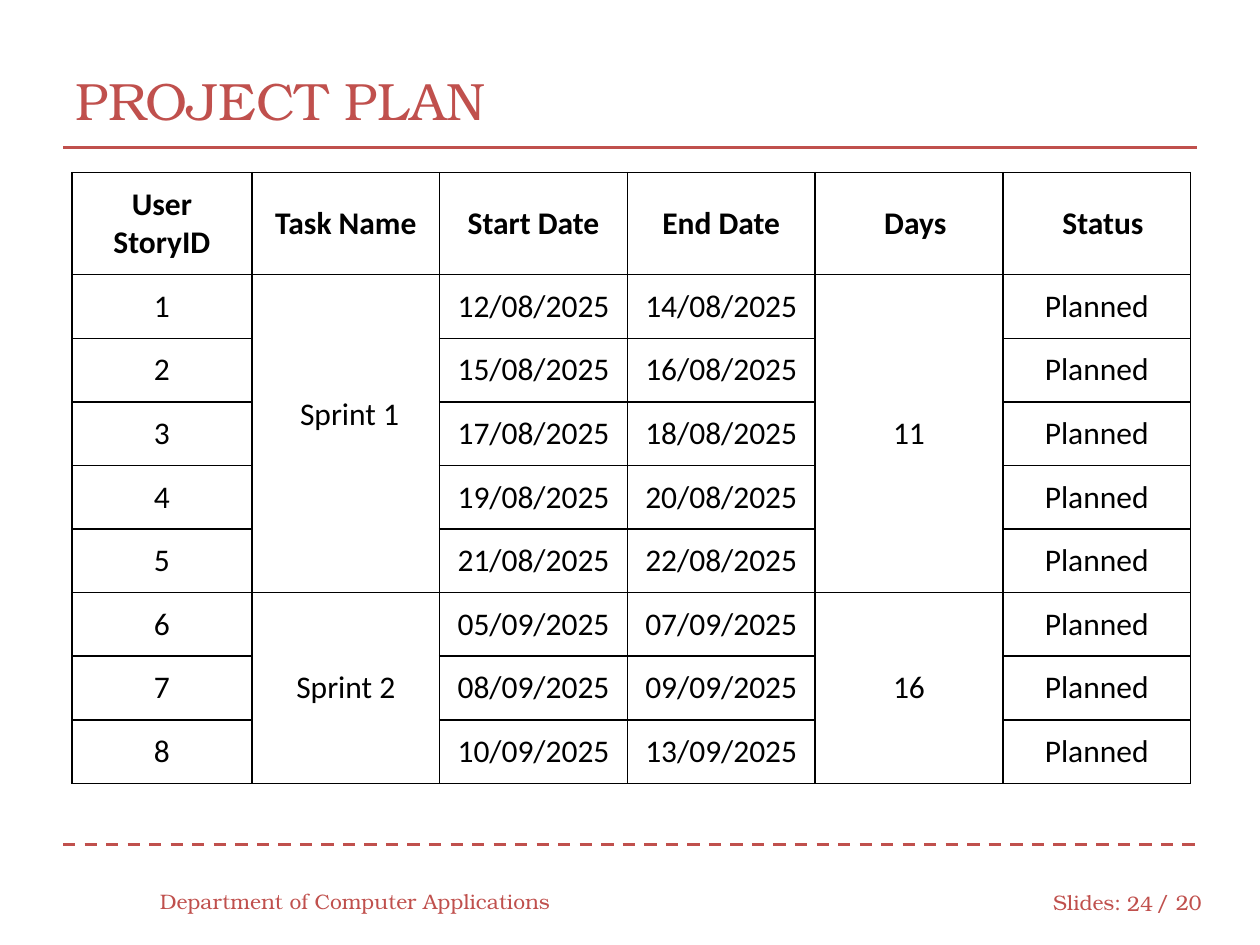
from dataclasses import dataclass

from lxml.etree import SubElement
from pptx import Presentation
from pptx.dml.color import RGBColor
from pptx.enum.dml import MSO_LINE
from pptx.enum.shapes import MSO_CONNECTOR
from pptx.enum.text import MSO_ANCHOR, MSO_AUTO_SIZE, PP_ALIGN as Align
from pptx.oxml import parse_xml
from pptx.oxml.ns import nsdecls, qn
from pptx.util import Inches, Pt


@dataclass(frozen=True)
class Theme:
    """Colours, fonts and type sizes of the slide."""
    accent: str = "C0504D"
    ink: str = "000000"
    paper: str = "FFFFFF"
    display_font: str = "TeX Gyre Bonum"
    table_font: str = "Calibri"
    title_size: int = 30
    table_size: int = 18
    footer_size: int = 12
    rule_width: float = 1.75
    border_width: float = 1


THEME = Theme()

HEADINGS = ["User\nStoryID", "Task Name", "Start Date", "End Date", "Days", "Status"]
SPRINTS = [
    ("Sprint 1", "11", [
        ("12/08/2025", "14/08/2025"),
        ("15/08/2025", "16/08/2025"),
        ("17/08/2025", "18/08/2025"),
        ("19/08/2025", "20/08/2025"),
        ("21/08/2025", "22/08/2025"),
    ]),
    ("Sprint 2", "16", [
        ("05/09/2025", "07/09/2025"),
        ("08/09/2025", "09/09/2025"),
        ("10/09/2025", "13/09/2025"),
    ]),
]
COLUMN_WIDTHS = [1.43] + [1.49] * 5
HEADER_HEIGHT, ROW_HEIGHT = 0.81, 0.505


def write_text(frame, text, *, size, font, color, bold=False, align=Align.LEFT):
    """Fill a text frame with one formatted paragraph per line of text."""
    frame.word_wrap = True
    for index, line in enumerate(text.split("\n")):
        para = frame.add_paragraph() if index else frame.paragraphs[0]
        para.alignment = align
        span = para.add_run()
        span.text = line
        span.font.size = Pt(size)
        span.font.name = font
        span.font.bold = bold
        span.font.color.rgb = RGBColor.from_string(color)


def add_title(page, text):
    """Place and format the title placeholder."""
    title = page.shapes.title
    title.left, title.top = Inches(0.5), Inches(0.33)
    title.width, title.height = Inches(9), Inches(0.92)
    title.text_frame.auto_size = MSO_AUTO_SIZE.NONE
    title.text_frame.vertical_anchor = MSO_ANCHOR.MIDDLE
    write_text(title.text_frame, text, size=THEME.title_size,
               font=THEME.display_font, color=THEME.accent)


def add_footer_text(page, text, left, top, width, align=Align.LEFT):
    """Add a small text box in the footer band."""
    box = page.shapes.add_textbox(Inches(left), Inches(top), Inches(width), Inches(0.4))
    box.text_frame.vertical_anchor = MSO_ANCHOR.MIDDLE
    write_text(box.text_frame, text, size=THEME.footer_size,
               font=THEME.display_font, color=THEME.accent, align=align)


def add_rule(page, top, dash=None):
    """Draw a horizontal rule across the content width."""
    rule = page.shapes.add_connector(
        MSO_CONNECTOR.STRAIGHT, Inches(0.5), Inches(top), Inches(9.5), Inches(top))
    rule.line.color.rgb = RGBColor.from_string(THEME.accent)
    rule.line.width = Pt(THEME.rule_width)
    if dash:
        rule.line.dash_style = dash
    SubElement(rule.element.spPr, qn("a:effectLst"))


def style_cell(cell):
    """Give a cell its fill, borders, margins and anchor."""
    cell.margin_left = cell.margin_right = Inches(0.1)
    cell.margin_top = cell.margin_bottom = Inches(0.1)
    cell.vertical_anchor = MSO_ANCHOR.MIDDLE
    cell.fill.solid()
    cell.fill.fore_color.rgb = RGBColor.from_string(THEME.paper)
    properties = cell._tc.get_or_add_tcPr()
    for index, side in enumerate(("lnL", "lnR", "lnT", "lnB")):
        properties.insert(index, parse_xml(
            f'<a:{side} {nsdecls("a")} w="{Pt(THEME.border_width)}"><a:solidFill>'
            f'<a:srgbClr val="{THEME.ink}"/></a:solidFill></a:{side}>'))


def fill_cell(cell, text, bold=False):
    """Write centred table text into a cell."""
    write_text(cell.text_frame, text, size=THEME.table_size, font=THEME.table_font,
               color=THEME.ink, bold=bold, align=Align.CENTER)


def add_plan_table(page):
    """Build the sprint table with merged task and day cells."""
    row_count = 1 + sum(len(stories) for _, _, stories in SPRINTS)
    frame = page.shapes.add_table(
        row_count, len(HEADINGS), Inches(0.57), Inches(1.37), Inches(sum(COLUMN_WIDTHS)),
        Inches(HEADER_HEIGHT + ROW_HEIGHT * (row_count - 1)))
    table = frame.table
    table.first_row = table.horz_banding = False
    for column, width in zip(table.columns, COLUMN_WIDTHS):
        column.width = Inches(width)
    for index, row in enumerate(table.rows):
        row.height = Inches(ROW_HEIGHT if index else HEADER_HEIGHT)
    for cell in table.iter_cells():
        style_cell(cell)

    for column, heading in enumerate(HEADINGS):
        fill_cell(table.cell(0, column), heading, bold=True)
    first = 1
    for sprint, days, stories in SPRINTS:
        last = first + len(stories) - 1
        for column, text in ((1, sprint), (4, days)):
            table.cell(first, column).merge(table.cell(last, column))
            fill_cell(table.cell(first, column), text)
        for row, (start, end) in enumerate(stories, first):
            for column, text in ((0, str(row)), (2, start), (3, end), (5, "Planned")):
                fill_cell(table.cell(row, column), text)
        first = last + 1

    for column in (4, 5):
        table.cell(0, column).margin_left = Inches(0.2)
    table.cell(1, 1).margin_left = Inches(0.16)
    table.cell(1, 1).margin_bottom = Inches(0.4)


def main():
    """Build and save the project plan slide."""
    deck = Presentation()
    deck.slide_width, deck.slide_height = Inches(10), Inches(7.5)
    page = deck.slides.add_slide(deck.slide_layouts[5])
    add_rule(page, 6.7, MSO_LINE.DASH)
    add_rule(page, 1.17)
    add_title(page, "PROJECT PLAN")
    add_footer_text(page, "Department of Computer Applications", 1.17, 6.95, 3.33)
    add_footer_text(page, "Slides:", 8.26, 6.96, 0.75)
    add_footer_text(page, "24", 8.83, 6.97, 0.42, Align.RIGHT)
    add_footer_text(page, "/ 20", 9.08, 6.96, 0.58)
    add_plan_table(page)
    deck.save("out.pptx")


if __name__ == "__main__":
    main()
